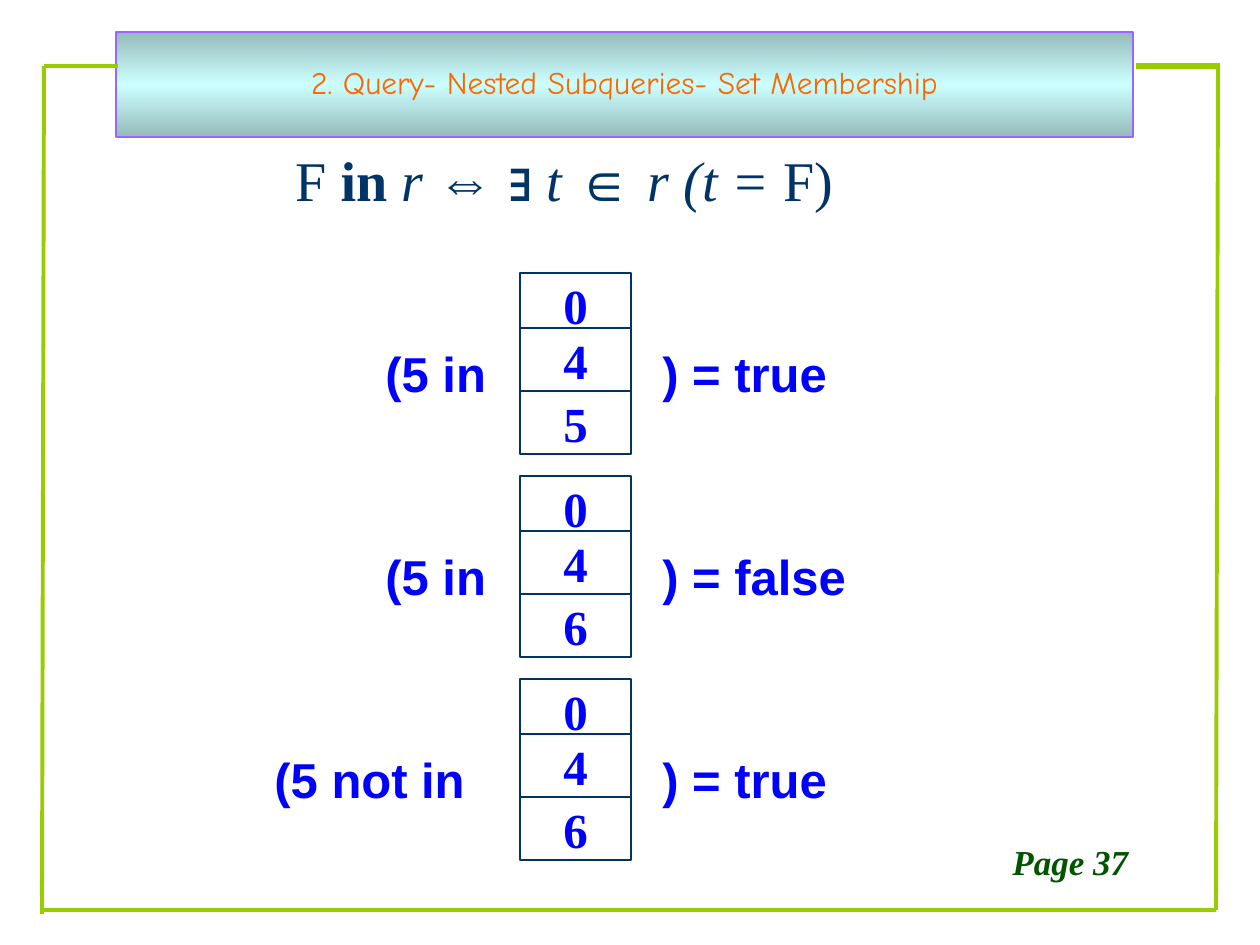
"""Build the slide on set membership in nested subqueries."""
from copy import deepcopy
from typing import NamedTuple

from lxml import etree
from pptx import Presentation
from pptx.dml.color import RGBColor
from pptx.enum.shapes import MSO_CONNECTOR, MSO_SHAPE
from pptx.enum.text import MSO_ANCHOR, PP_ALIGN
from pptx.oxml.ns import qn
from pptx.util import Emu, Pt

STRAIGHT = MSO_CONNECTOR.STRAIGHT
RECTANGLE = MSO_SHAPE.RECTANGLE
MIDDLE = MSO_ANCHOR.MIDDLE
LEFT, CENTER, JUSTIFY = PP_ALIGN.LEFT, PP_ALIGN.CENTER, PP_ALIGN.JUSTIFY

SERIF, SANS, COMIC = "Times New Roman", "Arial", "Comic Neue"
NAVY, BLUE, GREEN, LIME = "003366", "0000FF", "005400", "99CC00"
ORANGE, PURPLE, TEAL, AQUA, WHITE = "FF6600", "9966FF", "96BBBB", "CCFFFF", "FFFFFF"

FIRST_SET_TOP, SET_STEP = 273, 203
CELL_LEFT, CELL_WIDTH, CELL_HEIGHT = 520, 111, 63
CELL_OFFSETS = (0, 55, 118)
LABEL_OFFSET, LABEL_HEIGHT = 64, 72
RESULT_LEFT, LABEL_WIDTH = 650, 295


class Box(NamedTuple):
    """A rectangle in px."""
    left: int
    top: int
    width: int
    height: int


class Style(NamedTuple):
    """The look of a run."""
    font: str
    size: int
    color: str
    bold: bool = False
    italic: bool = False


class FrameLine(NamedTuple):
    """One border line, from start to end in px."""
    x1: int
    y1: int
    x2: int
    y2: int
    weight: float = 2.25


class Membership(NamedTuple):
    """A membership test: its test text, set members and result."""
    test: str
    test_left: int
    members: tuple[str, ...]
    result: str


FRAME = (
    FrameLine(118, 66, 44, 66),
    FrameLine(44, 66, 42, 914),
    FrameLine(1136, 66, 1220, 66, 3),
    FrameLine(1218, 66, 1216, 910),
    FrameLine(44, 910, 1216, 910),
)
FORMULA_STYLE = Style(SERIF, 32, NAVY)
FORMULA_ITALIC = FORMULA_STYLE._replace(italic=True)
FORMULA_SYMBOL = FORMULA_STYLE._replace(font=SANS)
FORMULA = (
    ("F ", FORMULA_STYLE),
    ("in", FORMULA_STYLE._replace(bold=True)),
    (" r ", FORMULA_ITALIC),
    ("⇔ ∃", FORMULA_SYMBOL),
    (" t ", FORMULA_ITALIC),
    ("∈ ", FORMULA_SYMBOL),
    ("r (t =", FORMULA_ITALIC),
    (" F)", FORMULA_STYLE),
)
MEMBER_STYLE = Style(SERIF, 28, BLUE, bold=True)
LABEL_STYLE = Style(SANS, 28, BLUE, bold=True)
MEMBERSHIPS = (
    Membership("(5 in", 373, ("0", "4", "5"), ") = true"),
    Membership("(5 in", 373, ("0", "4", "6"), ") = false"),
    Membership("(5 not in", 262, ("0", "4", "6"), ") = true"),
)


def px(length: int) -> Emu:
    """Turn px into EMU."""
    return Emu(round(length * 914400 / 126))


def rgb(color: str) -> RGBColor:
    """Turn a hex string into a colour."""
    return RGBColor.from_string(color)


def style_run(run, style: Style) -> None:
    """Give a run its font and colour."""
    font = run.font
    font.name, font.size = style.font, Pt(style.size)
    font.bold, font.italic = style.bold, style.italic
    font.color.rgb = rgb(style.color)


def draw_frame_line(slide, border: FrameLine) -> None:
    """Draw one line of the border."""
    connector = slide.shapes.add_connector(
        STRAIGHT, px(border.x1), px(border.y1), px(border.x2), px(border.y2))
    connector.line.color.rgb = rgb(LIME)
    connector.line.width = Pt(border.weight)
    etree.SubElement(connector._element.spPr, qn("a:effectLst"))


def draw_text(slide, box: Box, runs, align=LEFT, spacing: float = 1.0) -> None:
    """Draw a text box holding one paragraph of styled runs."""
    frame = slide.shapes.add_textbox(*map(px, box)).text_frame
    frame.word_wrap = True
    paragraph = frame.paragraphs[0]
    paragraph.alignment, paragraph.line_spacing = align, spacing
    for text, style in runs:
        run = paragraph.add_run()
        run.text = text
        style_run(run, style)


def draw_member(slide, box: Box, value: str) -> None:
    """Draw one cell of a set."""
    cell = slide.shapes.add_shape(RECTANGLE, *map(px, box))
    cell.shadow.inherit = False
    cell.fill.solid()
    cell.fill.fore_color.rgb = rgb(WHITE)
    cell.line.color.rgb = rgb(NAVY)
    cell.line.width = Pt(1)
    frame = cell.text_frame
    frame.text = value
    frame.word_wrap = False
    frame.vertical_anchor = MIDDLE
    frame.paragraphs[0].alignment = CENTER
    style_run(frame.paragraphs[0].runs[0], MEMBER_STYLE)


def draw_membership(slide, membership: Membership, top: int) -> None:
    """Draw a set with its test on the left and result on the right."""
    for offset, value in zip(CELL_OFFSETS, membership.members):
        draw_member(slide, Box(CELL_LEFT, top + offset, CELL_WIDTH, CELL_HEIGHT), value)
    for left, text in ((membership.test_left, membership.test),
                       (RESULT_LEFT, membership.result)):
        box = Box(left, top + LABEL_OFFSET, LABEL_WIDTH, LABEL_HEIGHT)
        draw_text(slide, box, [(text, LABEL_STYLE)])


def format_title(title, box: Box, text: str) -> None:
    """Place the title and give it a three-stop gradient."""
    title.left, title.top, title.width, title.height = map(px, box)
    title.fill.gradient()
    title.fill.gradient_angle = 90
    stop_list = title._element.spPr.find(".//" + qn("a:gsLst"))
    stop_list.append(deepcopy(stop_list[-1]))
    for stop, position, color in zip(
            title.fill.gradient_stops, (0, 0.5, 1), (TEAL, AQUA, TEAL)):
        stop.position = position
        stop.color.rgb = rgb(color)
    title.line.color.rgb = rgb(PURPLE)
    title.line.width = Pt(1.5)
    frame = title.text_frame
    frame.text = text
    frame.vertical_anchor = MIDDLE
    paragraph = frame.paragraphs[0]
    paragraph.alignment, paragraph.line_spacing = CENTER, 0.85
    style_run(paragraph.runs[0], Style(COMIC, 18, ORANGE))


def main() -> None:
    """Build and save the slide."""
    deck = Presentation()
    deck.slide_width, deck.slide_height = px(1260), px(945)
    slide = deck.slides.add_slide(deck.slide_layouts[5])
    for border in FRAME:
        draw_frame_line(slide, border)
    format_title(slide.shapes.title, Box(116, 32, 1017, 105),
                 "2. Query- Nested Subqueries- Set Membership")
    draw_text(slide, Box(1000, 839, 258, 50),
              [("Page 37", Style(SERIF, 20, GREEN, bold=True, italic=True))], spacing=0.9)
    draw_text(slide, Box(283, 147, 599, 54), FORMULA, JUSTIFY, 0.9)
    for index, membership in enumerate(MEMBERSHIPS):
        draw_membership(slide, membership, FIRST_SET_TOP + index * SET_STEP)
    deck.save("out.pptx")


if __name__ == "__main__":
    main()
